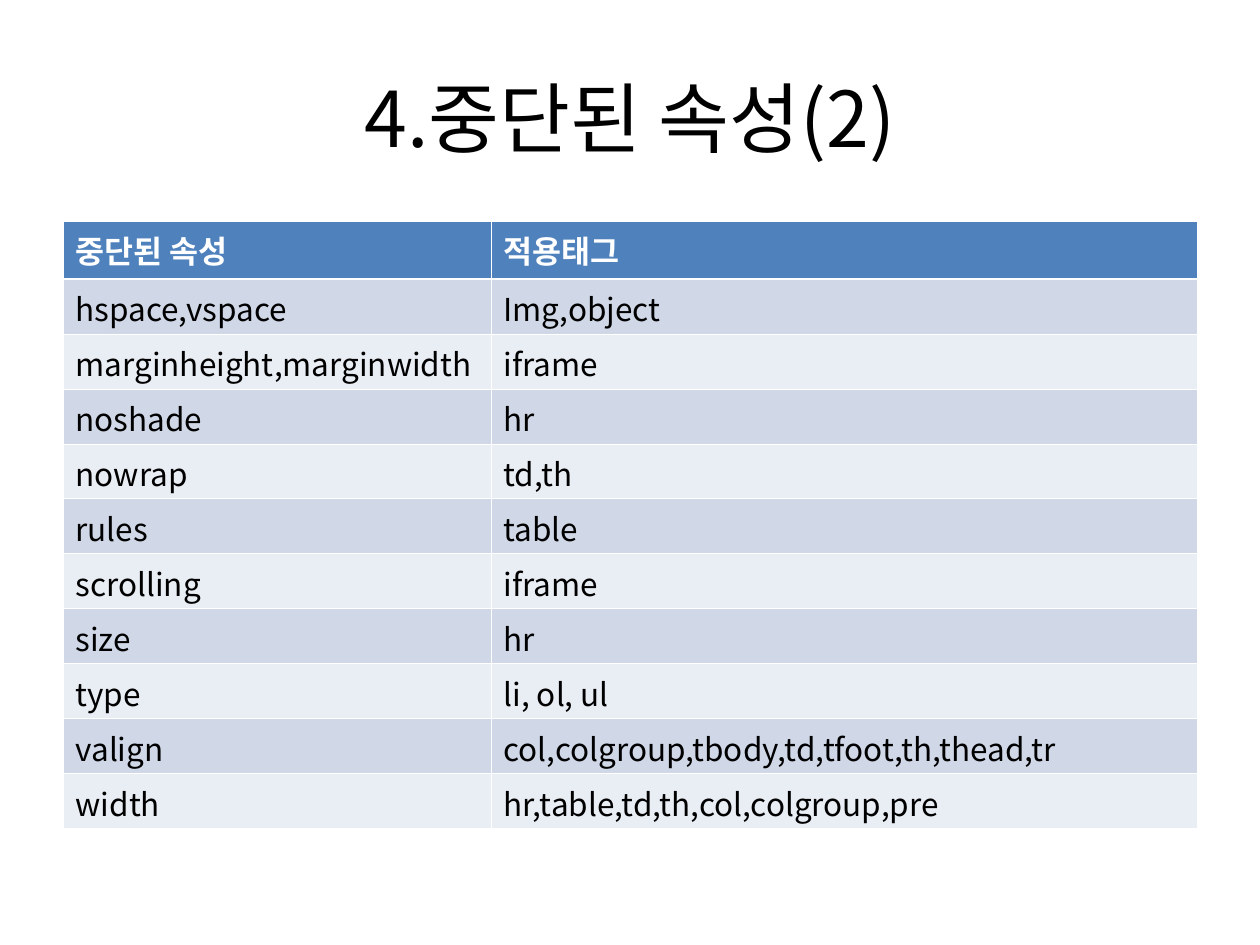
from lxml import etree
from pptx import Presentation
from pptx.dml.color import RGBColor
from pptx.enum.text import MSO_ANCHOR, PP_ALIGN
from pptx.oxml.ns import qn
from pptx.util import Pt

PX = 914400 // 126
FONT = "Noto Sans CJK KR"
LEFT, CENTER = PP_ALIGN.LEFT, PP_ALIGN.CENTER
MIDDLE = MSO_ANCHOR.MIDDLE
COLORS = {
    "ink": "000000",
    "white": "FFFFFF",
    "head": "4F81BD",
    "odd": "D0D8E8",
    "even": "E9EDF4",
}
ROWS = [
    ("중단된 속성", "적용태그"),
    ("hspace,vspace", "Img,object"),
    ("marginheight,marginwidth", "iframe"),
    ("noshade", "hr"),
    ("nowrap", "td,th"),
    ("rules", "table"),
    ("scrolling", "iframe"),
    ("size", "hr"),
    ("type", "li, ol, ul"),
    ("valign", "col,colgroup,tbody,td,tfoot,th,thead,tr"),
    ("width", "hr,table,td,th,col,colgroup,pre"),
]
WIDTHS = [428, 706]
HEAD, BODY = 58, 55


def write(frame, text, size=18, color="ink", bold=False, align=LEFT):
    para = frame.paragraphs[0]
    para.alignment = align
    run = para.add_run()
    run.text = text
    font = run.font
    font.name = FONT
    font.size = Pt(size)
    font.bold = bold
    font.color.rgb = RGBColor.from_string(COLORS[color])
    etree.SubElement(font._element, qn("a:ea"), typeface=FONT)


def border(cell, side, width):
    props = cell._tc.get_or_add_tcPr()
    line = etree.SubElement(props, qn("a:" + side), w=str(Pt(width)))
    fill = etree.SubElement(line, qn("a:solidFill"))
    etree.SubElement(fill, qn("a:srgbClr"), val=COLORS["white"])


deck = Presentation()
deck.slide_width = 1260 * PX
deck.slide_height = 945 * PX
slide = deck.slides.add_slide(deck.slide_layouts[6])

title = slide.shapes.add_textbox(63 * PX, 38 * PX, 1134 * PX, 158 * PX)
title.text_frame.word_wrap = True
title.text_frame.vertical_anchor = MIDDLE
write(title.text_frame, "4.중단된 속성(2)", size=44, align=CENTER)

high = HEAD + BODY * (len(ROWS) - 1)
table = slide.shapes.add_table(
    len(ROWS), len(WIDTHS), 63 * PX, 221 * PX, sum(WIDTHS) * PX, high * PX
).table
for col, width in zip(table.columns, WIDTHS):
    col.width = width * PX

for i, row in enumerate(ROWS):
    top = i == 0
    table.rows[i].height = (HEAD if top else BODY) * PX
    shade = "head" if top else "odd" if i % 2 else "even"
    for j, text in enumerate(row):
        cell = table.cell(i, j)
        write(cell.text_frame, text, color="white" if top else "ink", bold=top)
        border(cell, "lnL", 0.45)
        border(cell, "lnR", 0.45)
        border(cell, "lnT", 1.47 if i == 1 else 0.45)
        border(cell, "lnB", 1.47 if top else 0.45)
        cell.fill.solid()
        cell.fill.fore_color.rgb = RGBColor.from_string(COLORS[shade])

deck.save("out.pptx")
